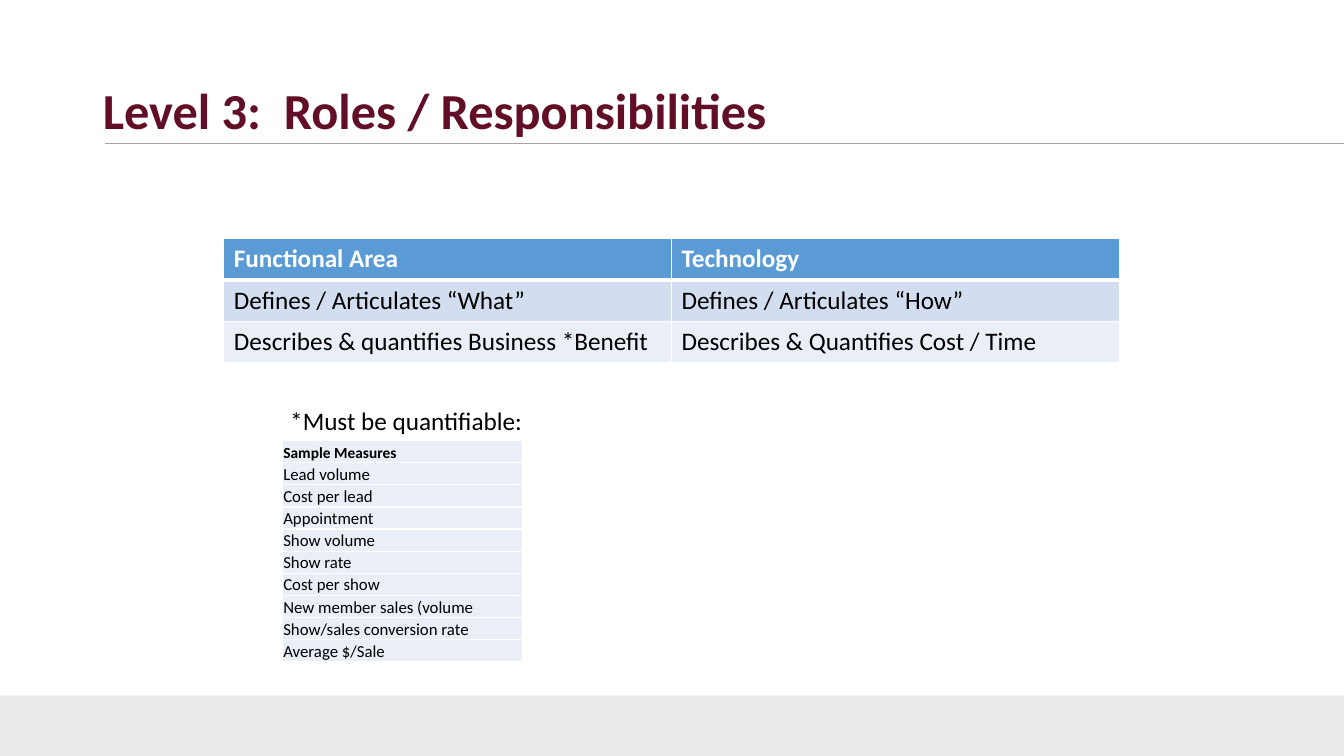
from lxml.etree import SubElement
from pptx import Presentation
from pptx.dml.color import RGBColor
from pptx.enum.shapes import MSO_CONNECTOR as Connector, MSO_SHAPE as Shape
from pptx.enum.text import MSO_ANCHOR as Anchor, PP_ALIGN as Align
from pptx.oxml import parse_xml
from pptx.oxml.ns import nsdecls, qn
from pptx.util import Inches, Pt

WHITE, BLACK, MAROON = "FFFFFF", "000000", "610E26"
BLUE, MID_BLUE, PALE_BLUE = "5B9BD5", "D2DEEF", "EAEFF7"
ROLES = [
    ("Functional Area", "Technology"),
    ("Defines / Articulates “What”", "Defines / Articulates “How”"),
    ("Describes & quantifies Business *Benefit", "Describes & Quantifies Cost / Time"),
]
MEASURES = [
    "Sample Measures", "Lead volume", "Cost per lead", "Appointment", "Show volume",
    "Show rate", "Cost per show", "New member sales (volume",
    "Show/sales conversion rate", "Average $/Sale",
]


def rgb(color):
    return RGBColor.from_string(color)


def write(frame, text, size=18, color=BLACK, bold=False, spacing=None):
    paragraph = frame.paragraphs[0]
    paragraph.alignment = Align.LEFT
    paragraph.line_spacing = spacing
    run = paragraph.add_run()
    run.text = text
    run.font.name = "Calibri"
    run.font.size = Pt(size)
    run.font.bold = bold
    run.font.color.rgb = rgb(color)


def set_borders(cell, top=1, bottom=1):
    """White borders; they must come before the fill in the cell properties."""
    properties = cell._tc.get_or_add_tcPr()
    widths = {"lnL": 1, "lnR": 1, "lnT": top, "lnB": bottom}
    for index, (side, width) in enumerate(widths.items()):
        properties.insert(index, parse_xml(
            f'<a:{side} {nsdecls("a")} w="{Pt(width)}"><a:solidFill>'
            f'<a:srgbClr val="{WHITE}"/></a:solidFill></a:{side}>'))


def add_table(slide, left, top, column_width, row_height, rows, columns):
    shape = slide.shapes.add_table(
        rows, columns, Inches(left), Inches(top),
        Inches(column_width * columns), Inches(row_height * rows))
    for row in shape.table.rows:
        row.height = Inches(row_height)
    return shape.table


def fill_cell(cell, text, fill, top=1, bottom=1, **text_format):
    write(cell.text_frame, text, **text_format)
    cell.fill.solid()
    cell.fill.fore_color.rgb = rgb(fill)
    set_borders(cell, top, bottom)


def add_footer_band(slide):
    band = slide.shapes.add_shape(
        Shape.RECTANGLE, Inches(0), Inches(6.9), Inches(13.33), Inches(0.6))
    band.shadow.inherit = False
    band.fill.solid()
    band.fill.fore_color.rgb = rgb("EAEAEA")
    band.line.fill.background()


def add_title_rule(slide):
    rule = slide.shapes.add_connector(
        Connector.STRAIGHT, Inches(1.04), Inches(1.42), Inches(13.33), Inches(1.42))
    rule.line.color.rgb = rgb("A5A5A5")
    rule.line.width = Pt(0.5)
    SubElement(rule._element.spPr, qn("a:effectLst"))


def add_title(slide, text):
    title = slide.shapes.title
    title.left, title.top = Inches(0.92), Inches(0.4)
    title.width, title.height = Inches(11.5), Inches(1.45)
    title.text_frame.vertical_anchor = Anchor.MIDDLE
    write(title.text_frame, text, size=36, color=MAROON, bold=True, spacing=0.9)


def add_roles_table(slide):
    table = add_table(slide, 2.22, 2.37, 4.44, 0.41, len(ROLES), 2)
    styles = [
        dict(fill=BLUE, bottom=3, color=WHITE, bold=True),
        dict(fill=MID_BLUE, top=3),
        dict(fill=PALE_BLUE),
    ]
    for row, (texts, style) in enumerate(zip(ROLES, styles)):
        for column, text in enumerate(texts):
            fill_cell(table.cell(row, column), text, **style)


def add_measures_table(slide):
    table = add_table(slide, 2.8, 4.37, 2.38, 0.22, len(MEASURES), 1)
    for row, text in enumerate(MEASURES):
        cell = table.cell(row, 0)
        cell.vertical_anchor = Anchor.BOTTOM
        cell.margin_left = cell.margin_right = cell.margin_top = Inches(0.01)
        cell.margin_bottom = 0
        is_header = row == 0
        fill_cell(cell, text, PALE_BLUE, size=11 if is_header else 12, bold=is_header)


def add_note(slide, text):
    box = slide.shapes.add_textbox(
        Inches(2.78), Inches(3.97), Inches(2.59), Inches(0.4))
    box.text_frame.word_wrap = True
    write(box.text_frame, text)


def main():
    presentation = Presentation()
    presentation.slide_width, presentation.slide_height = Inches(13.33), Inches(7.5)
    slide = presentation.slides.add_slide(presentation.slide_layouts[5])

    # Frame of the page
    add_footer_band(slide)
    add_title_rule(slide)
    add_title(slide, "Level 3:  Roles / Responsibilities")

    # Roles and the measures behind the benefit
    add_roles_table(slide)
    add_measures_table(slide)
    add_note(slide, "*Must be quantifiable:")

    presentation.save("out.pptx")


if __name__ == "__main__":
    main()
